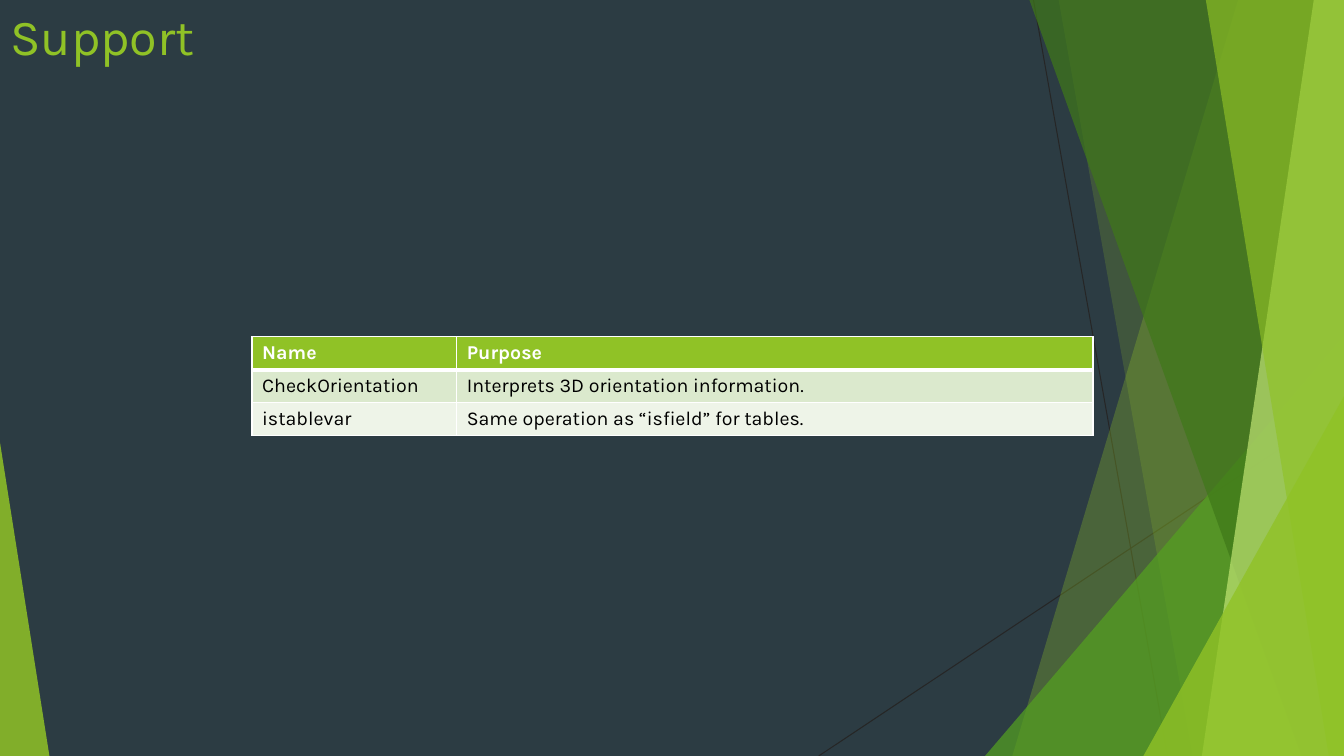
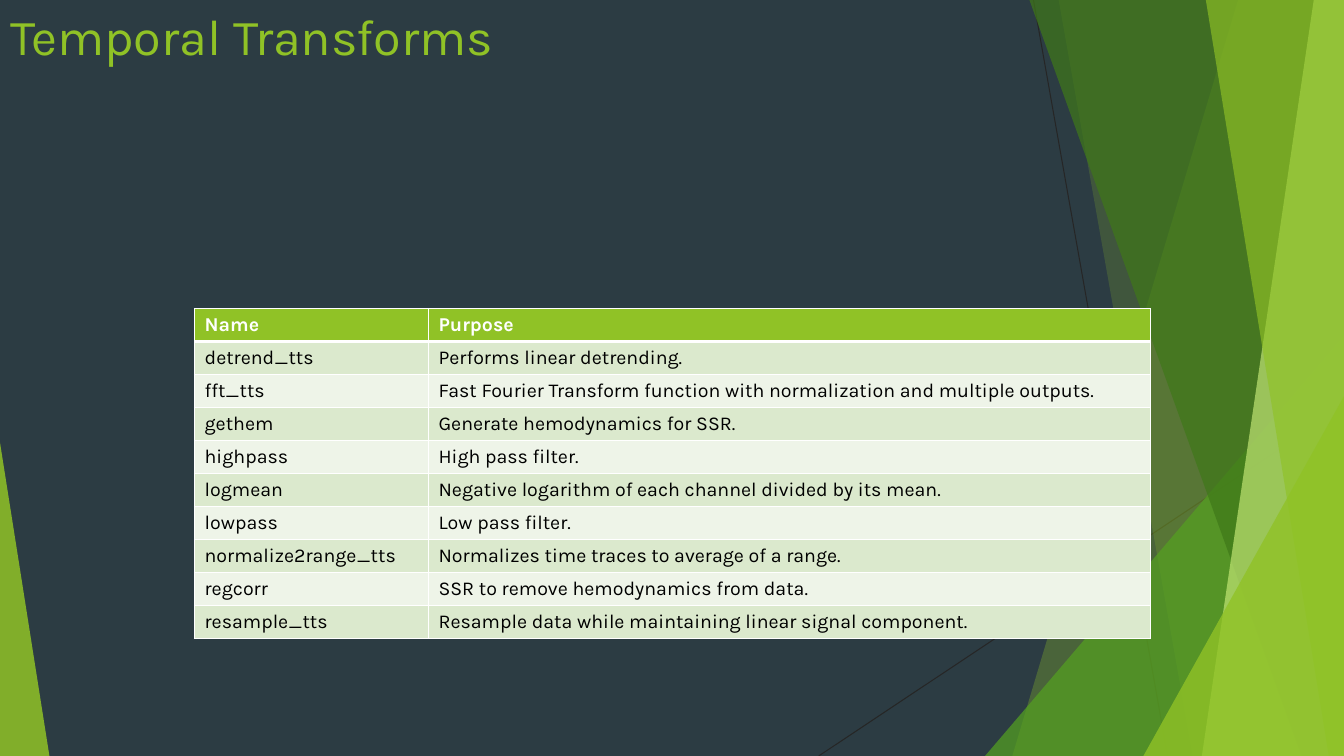
from pptx import Presentation
from pptx.dml.color import RGBColor as RGB
from pptx.enum.shapes import MSO_SHAPE as SHAPE
from pptx.enum.text import MSO_ANCHOR as ANCHOR, MSO_AUTO_SIZE as AUTO, PP_ALIGN as ALIGN
from pptx.oxml.ns import qn
from pptx.util import Inches, Pt
from lxml.etree import SubElement

COLORS = {
    "background": "2C3C43", "lime": "90C226", "pale lime": "C0E474",
    "green": "54A021", "forest": "3F7819", "hairline": "262626",
    "odd row": "DBE9CD", "even row": "EEF4E8", "white": "FFFFFF", "black": "000000",
}
FONT = "Karla"
WIDTH, HEIGHT = 13.33, 7.5
ROW_HEIGHT = 0.25

HAIRLINES = [((10.25, 0), (11.58, HEIGHT)), ((WIDTH, 4.03), (8.12, HEIGHT))]
# Ribbons: x of the left edge at top and bottom. Triangles: left, top, width, apex.
FACETS = [
    ("ribbon", (12.28, 10.04), "lime", 30),
    ("ribbon", (10.5, 11.83), "lime", 20),
    ("triangle", (9.77, 3.33, 3.56, 1), "green", 72),
    ("ribbon", (10.21, 12.91), "forest", 70),
    ("ribbon", (13.03, 11.92), "pale lime", 70),
    ("ribbon", (11.96, 13.18), "lime", 65),
    ("triangle", (11.34, 3.93, 1.99, 1), "lime", 80),
    ("triangle", (0, 4.39, 0.49, 0), "lime", 85),
]

HEADER = ("Name", "Purpose")
TOPICS = [
    ("Support", (2.5, 3.34), (2.03, 6.31), [
        ("CheckOrientation", "Interprets 3D orientation information."),
        ("istablevar", "Same operation as “isfield” for tables."),
    ]),
    ("Temporal Transforms", (1.93, 3.06), (2.32, 7.16), [
        ("detrend_tts", "Performs linear detrending."),
        ("fft_tts", "Fast Fourier Transform function with normalization and multiple outputs."),
        ("gethem", "Generate hemodynamics for SSR."),
        ("highpass", "High pass filter."),
        ("logmean", "Negative logarithm of each channel divided by its mean."),
        ("lowpass", "Low pass filter."),
        ("normalize2range_tts", "Normalizes time traces to average of a range."),
        ("regcorr", "SSR to remove hemodynamics from data."),
        ("resample_tts", "Resample data while maintaining linear signal component."),
    ]),
]


def write(frame, text, color, size, bold=False):
    frame.text = text
    paragraph = frame.paragraphs[0]
    paragraph.alignment = ALIGN.LEFT
    font = paragraph.runs[0].font
    for attribute, value in {"name": FONT, "size": Pt(size), "bold": bold}.items():
        setattr(font, attribute, value)
    font.color.rgb = RGB.from_string(COLORS[color])


def add_borders(cell, widths):
    properties = cell._tc.get_or_add_tcPr()
    for side, width in widths.items():
        border = SubElement(properties, qn(f"a:ln{side}"), w=str(Pt(width)))
        fill = SubElement(border, qn("a:solidFill"))
        SubElement(fill, qn("a:srgbClr"), val=COLORS["white"])


prs = Presentation()
prs.slide_width, prs.slide_height = Inches(WIDTH), Inches(HEIGHT)
layout = prs.slide_layouts[5]
slides = [prs.slides.add_slide(layout) for _ in TOPICS]

# Shared background
backdrop = layout.background.fill
backdrop.solid()
backdrop.fore_color.rgb = RGB.from_string(COLORS["background"])

# Shared facets, drawn as one group and then moved to the layout
facets = slides[0].shapes.add_group_shape()
for start, end in HAIRLINES:
    hairline = facets.shapes.add_connector(1, *map(Inches, start + end))
    hairline.line.width = Pt(0.75)
    hairline.line.color.rgb = RGB.from_string(COLORS["hairline"])
    SubElement(hairline.element.spPr, qn("a:effectLst"))

for kind, geometry, color, opacity in FACETS:
    if kind == "ribbon":
        top_x, bottom_x = geometry
        outline = facets.shapes.build_freeform(Inches(top_x), 0)
        corners = [(WIDTH, 0), (WIDTH, HEIGHT), (bottom_x, HEIGHT)]
        outline.add_line_segments([(Inches(x), Inches(y)) for x, y in corners])
        facet = outline.convert_to_shape()
    else:
        left, top, width, apex = geometry
        box = (left, top, width, HEIGHT - top)
        facet = facets.shapes.add_shape(SHAPE.ISOSCELES_TRIANGLE, *map(Inches, box))
        facet.adjustments[0] = apex
    facet.shadow.inherit = False
    facet.line.fill.background()
    facet.fill.solid()
    facet.fill.fore_color.rgb = RGB.from_string(COLORS[color])
    tint = facet.element.spPr.find(qn("a:solidFill"))[0]
    SubElement(tint, qn("a:alpha"), val=str(opacity * 1000))

for number, identity in enumerate(facets.element.iter(qn("p:cNvPr")), 101):
    identity.set("id", str(number))
layout.shapes.element.insert(2, facets.element)

for slide, (heading, corner, columns, functions) in zip(slides, TOPICS):
    # Title
    title = slide.shapes.title
    title.left, title.top, title.width, title.height = map(Inches, (0, 0, 9.4, 1.44))
    frame_format = {"vertical_anchor": ANCHOR.TOP, "word_wrap": True, "auto_size": AUTO.NONE}
    for attribute, value in frame_format.items():
        setattr(title.text_frame, attribute, value)
    write(title.text_frame, heading, "lime", 36)

    # Function table
    rows = [HEADER] + functions
    size = (sum(columns), ROW_HEIGHT * len(rows))
    table = slide.shapes.add_table(len(rows), 2, *map(Inches, corner + size)).table
    table.horz_banding = False
    for column, width in zip(table.columns, columns):
        column.width = Inches(width)
    for r, row in enumerate(rows):
        is_header = r == 0
        fill = "lime" if is_header else "odd row" if r % 2 else "even row"
        widths = {"L": 1, "R": 1, "T": 3 if r == 1 else 1, "B": 3 if is_header else 1}
        for c, text in enumerate(row):
            cell = table.cell(r, c)
            add_borders(cell, widths)
            cell.fill.solid()
            cell.fill.fore_color.rgb = RGB.from_string(COLORS[fill])
            write(cell.text_frame, text, "white" if is_header else "black", 14, is_header)

prs.save("out.pptx")
